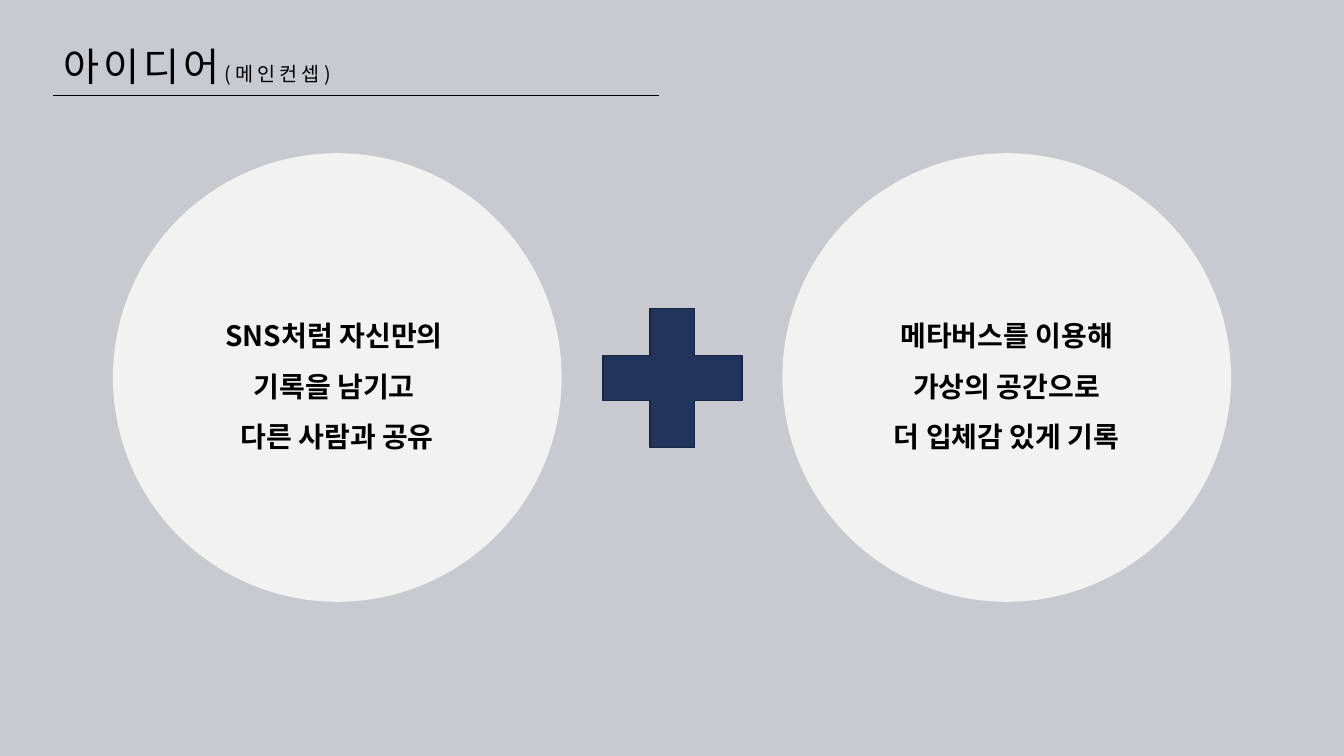
from lxml.etree import SubElement
from pptx import Presentation
from pptx.dml.color import RGBColor
from pptx.enum.shapes import MSO_CONNECTOR, MSO_SHAPE
from pptx.enum.text import MSO_ANCHOR, MSO_AUTO_SIZE, PP_ALIGN
from pptx.oxml.ns import qn
from pptx.util import Inches, Pt

BACKGROUND = RGBColor(0xC9, 0xCA, 0xCF)
CIRCLE_FILL = RGBColor(0xF2, 0xF2, 0xF2)
NAVY = RGBColor(0x21, 0x34, 0x5C)
NAVY_EDGE = RGBColor(0x18, 0x26, 0x44)
BLACK = RGBColor(0, 0, 0)
FONT = "Noto Sans CJK KR"

CIRCLE_TOP, CIRCLE_SIZE = 1.52, 4.45
CONCEPTS = [
    (1.12, ["SNS처럼 자신만의 ", "기록을 남기고 ", "다른 사람과 공유"]),
    (7.76, ["메타버스를 이용해", "가상의 공간으로", "더 입체감 있게 기록"]),
]


def add_run(paragraph, text, *, size, bold=False, spacing=0):
    """Append black text; spacing is the letter spacing in points."""
    run = paragraph.add_run()
    run.text = text
    font = run.font
    font.size = Pt(size)
    font.bold = bold
    font.name = FONT
    font.color.rgb = BLACK
    properties = run._r.get_or_add_rPr()
    SubElement(properties, qn("a:ea")).set("typeface", FONT)
    if spacing:
        properties.set("spc", str(spacing * 100))


def add_filled_shape(slide, kind, left, top, size, fill, edge=None):
    shape = slide.shapes.add_shape(
        kind, Inches(left), Inches(top), Inches(size), Inches(size))
    shape.shadow.inherit = False
    shape.fill.solid()
    shape.fill.fore_color.rgb = fill
    if edge is None:
        shape.line.fill.background()
    else:
        shape.line.color.rgb = edge
        shape.line.width = Pt(1)
    return shape


def add_concept(slide, left, lines):
    circle = add_filled_shape(
        slide, MSO_SHAPE.OVAL, left, CIRCLE_TOP, CIRCLE_SIZE, CIRCLE_FILL)
    frame = circle.text_frame
    frame.word_wrap = True
    frame.vertical_anchor = MSO_ANCHOR.MIDDLE
    for index, line in enumerate(lines):
        paragraph = frame.add_paragraph() if index else frame.paragraphs[0]
        paragraph.alignment = PP_ALIGN.CENTER
        paragraph.line_spacing = 1.5
        add_run(paragraph, line, size=20, bold=True)


def add_heading(slide, title, subtitle):
    """Group the title text with the rule under it."""
    heading = slide.shapes.add_group_shape().shapes
    left, width, rule_top = Inches(0.53), Inches(6.01), Inches(0.95)
    frame = heading.add_textbox(left, Inches(0.37), width, Inches(0.57)).text_frame
    frame.word_wrap = True
    frame.auto_size = MSO_AUTO_SIZE.SHAPE_TO_FIT_TEXT
    add_run(frame.paragraphs[0], title, size=28, spacing=3)
    add_run(frame.paragraphs[0], subtitle, size=14, spacing=3)

    rule = heading.add_connector(
        MSO_CONNECTOR.STRAIGHT, left, rule_top, left + width, rule_top)
    rule.line.color.rgb = BLACK
    rule.line.width = Pt(0.5)
    SubElement(rule._element.spPr, qn("a:effectLst"))


def main():
    presentation = Presentation()
    presentation.slide_width = Inches(13.33)
    presentation.slide_height = Inches(7.5)
    slide = presentation.slides.add_slide(presentation.slide_layouts[6])
    slide.background.fill.solid()
    slide.background.fill.fore_color.rgb = BACKGROUND

    for left, lines in CONCEPTS:
        add_concept(slide, left, lines)
    add_filled_shape(slide, MSO_SHAPE.MATH_PLUS, 5.73, 2.81, 1.88, NAVY, NAVY_EDGE)
    add_heading(slide, "아이디어", "(메인컨셉)")
    presentation.save("out.pptx")


if __name__ == "__main__":
    main()
